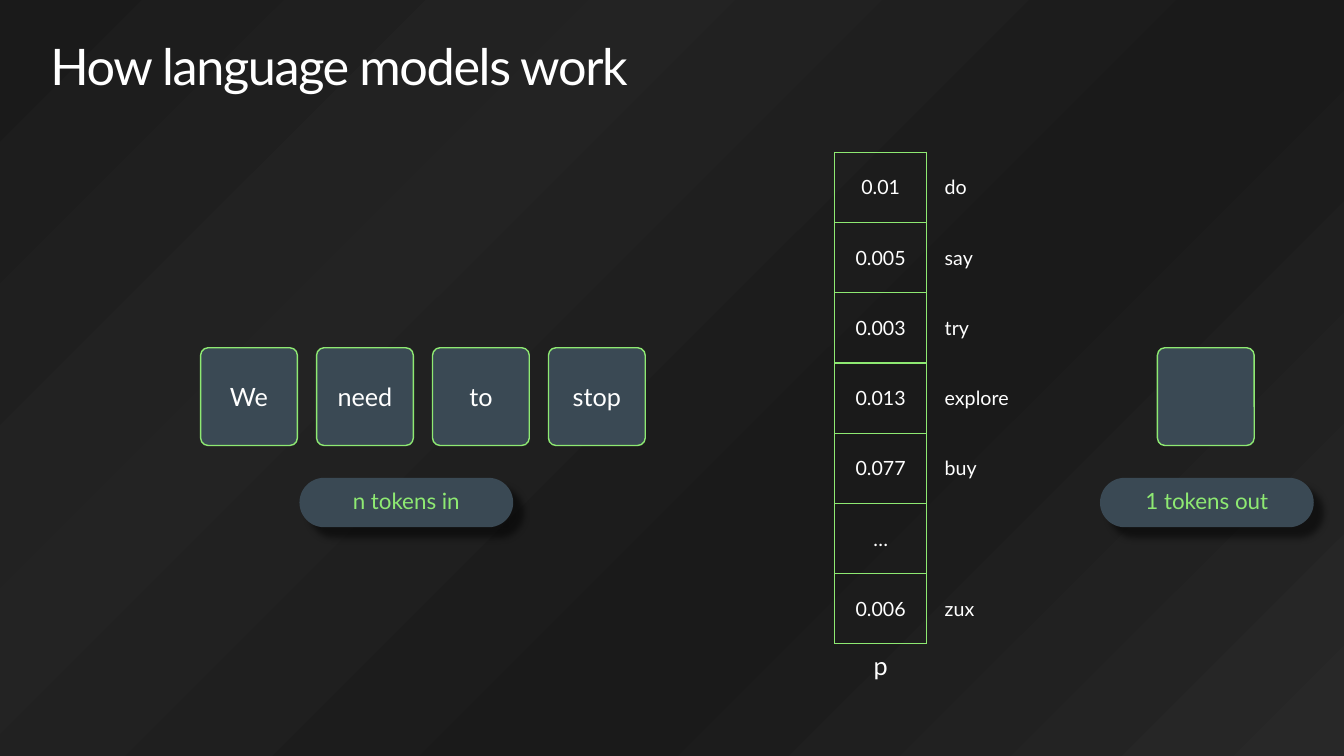
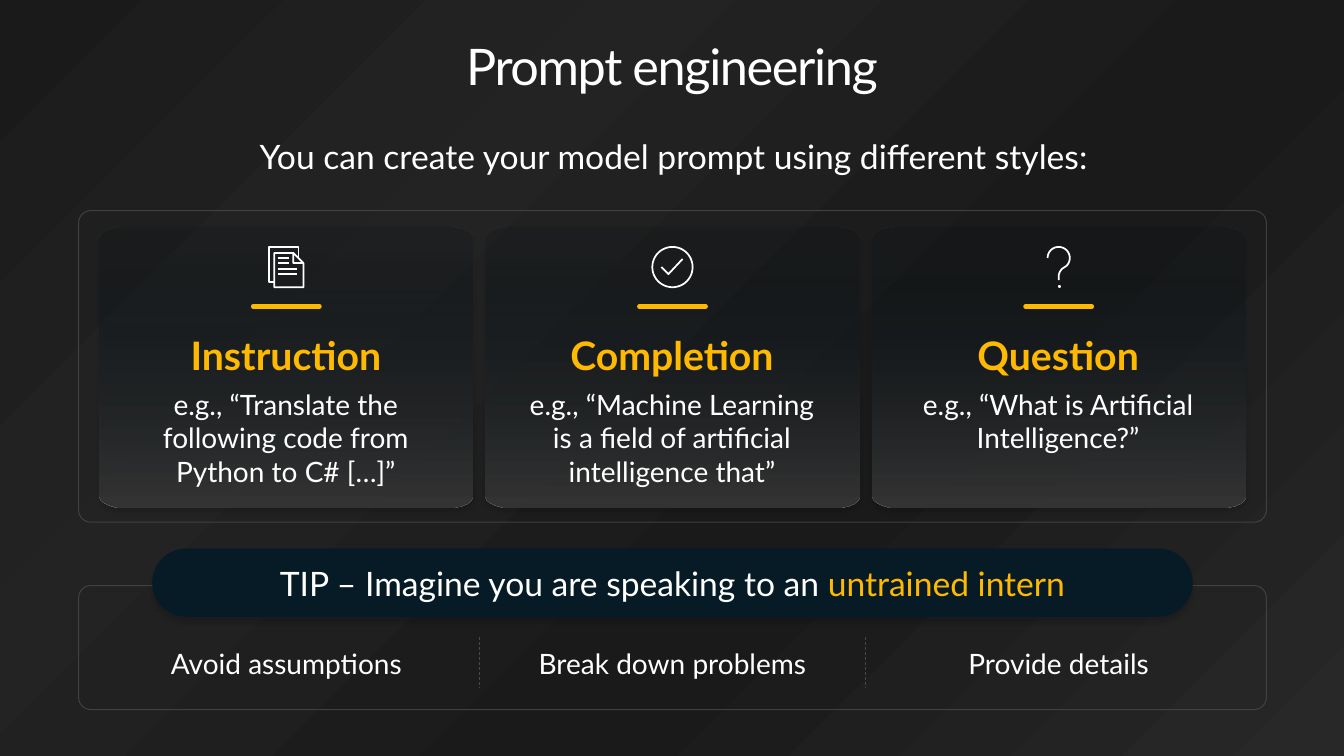
from math import cos, radians, sin

from lxml import etree
from pptx import Presentation
from pptx.dml.color import RGBColor
from pptx.enum.dml import MSO_LINE
from pptx.enum.shapes import MSO_CONNECTOR, MSO_SHAPE
from pptx.enum.text import MSO_ANCHOR, PP_ALIGN
from pptx.oxml.ns import qn
from pptx.util import Inches, Pt

LEFT, CENTER = PP_ALIGN.LEFT, PP_ALIGN.CENTER
TOP, MIDDLE = MSO_ANCHOR.TOP, MSO_ANCHOR.MIDDLE
ROUNDED = MSO_SHAPE.ROUNDED_RECTANGLE
STRAIGHT = MSO_CONNECTOR.STRAIGHT
DASH = MSO_LINE.DASH


class Theme:
    font = "Lato"
    white, green, slate = "FFFFFF", "8EE972", "3A4954"
    amber, navy, grey = "FFB900", "071B27", "494949"
    title, heading, lead, body, token, pill, cell = 36, 28, 24, 20, 18, 16, 14
    # Gradient stops: position, colour, opacity (all in percent)
    backdrop = [(0, "1A1A1A", 100), (27, "222222", 100), (28, "232323", 100),
                (63, "1A1A1A", 100), (100, "282828", 100)]
    card = [(0, "040F16", 10), (100, "353535", 100)]
    # Shadows: opacity percent, blur pt, distance pt, angle
    deep_shadow = (50, 5, 10, 45)
    soft_shadow = (15, 3, 3, 90)


TOKENS = ["We", "need", "to", "stop"]
PROBABILITIES = [("0.01", "do"), ("0.005", "say"), ("0.003", "try"),
                 ("0.013", "explore"), ("0.077", "buy"), ("…", ""),
                 ("0.006", "zux")]
STYLES = [
    ("Instruction", "e.g., “Translate the following code from Python to C# […]”"),
    ("Completion", "e.g., “Machine Learning is a field of artificial intelligence that”"),
    ("Question", "e.g., “What is Artificial Intelligence?”"),
]
TIP = ("TIP – Imagine you are speaking to an ", "untrained intern")
HINTS = ["Avoid assumptions", "Break down problems", "Provide details"]


def arc(cx, cy, rx, ry, start, end, steps=12):
    """Points on an ellipse, with angles running clockwise from the right."""
    angles = [radians(start + (end - start) * i / steps) for i in range(steps + 1)]
    return [(cx + rx * cos(t), cy + ry * sin(t)) for t in angles]


# Icon strokes in inches, relative to the top centre of the icon
ICONS = [
    [[(-.12, .35), (-.17, .35), (-.17, 0), (.12, 0), (.12, .11)],
     [(.07, .06), (.07, .16), (.17, .16), (.07, .06), (-.12, .06),
      (-.12, .4), (.17, .4), (.17, .16)]]
    + [[(-.08, y), (x, y)] for x, y in [(.11, .27), (.11, .22), (.03, .16), (.03, .11)]],
    [arc(0, .2, .2, .2, 0, 360, 48), [(-.11, .2), (-.04, .27), (.1, .12)]],
    [arc(0, .11, .11, .11, 180, 405, 30) + [(.03, .22), (.01, .25), (0, .28), (0, .33)],
     [(0, .39), (.01, .39), (.01, .4), (0, .4), (0, .39)]],
]


def sub(parent, tag, **attrs):
    el = etree.SubElement(parent, qn(tag))
    for name, value in attrs.items():
        el.set(name, str(value))
    return el


def add_color(parent, color, opacity):
    clr = sub(parent, "a:srgbClr", val=color)
    if opacity < 100:
        sub(clr, "a:alpha", val=opacity * 1000)


def set_gradient(element, fill, stops, angle):
    """Give the element a gradient of any number of stops as its fill."""
    fill.solid()
    solid = next(element.iter(qn("a:solidFill")))
    grad = etree.Element(qn("a:gradFill"), rotWithShape="1")
    stop_list = sub(grad, "a:gsLst")
    for pos, color, opacity in stops:
        add_color(sub(stop_list, "a:gs", pos=pos * 1000), color, opacity)
    sub(grad, "a:lin", ang=angle * 60000, scaled=0)
    solid.getparent().replace(solid, grad)


def set_shadow(sp, shadow=None):
    sp.shadow.inherit = False
    if shadow:
        opacity, blur, dist, angle = shadow
        effects = sp._element.spPr.find(qn("a:effectLst"))
        outer = sub(effects, "a:outerShdw", blurRad=Pt(blur), dist=Pt(dist),
                    dir=angle * 60000, algn="tl", rotWithShape=0)
        add_color(outer, "000000", opacity)


def set_line(line, color, width):
    line.color.rgb = RGBColor.from_string(color)
    line.width = Pt(width)


def style_run(r, size, color, bold=False):
    r.font.name = Theme.font
    r.font.size = Pt(size)
    r.font.bold = bold
    r.font.color.rgb = RGBColor.from_string(color)


def write(p, text, size, color=Theme.white, align=CENTER, bold=False):
    p.text = text
    p.alignment = align
    for r in p.runs:
        style_run(r, size, color, bold)


def set_frame(tf, anchor=MIDDLE, pad_x=.1, pad_y=.05):
    tf.word_wrap = True
    tf.vertical_anchor = anchor
    tf.margin_left = tf.margin_right = Inches(pad_x)
    tf.margin_top = tf.margin_bottom = Inches(pad_y)
    return tf.paragraphs[0]


def add_text(slide, box, text, size, anchor=TOP, pad_x=0, pad_y=0, **look):
    tf = slide.shapes.add_textbox(*map(Inches, box)).text_frame
    p = set_frame(tf, anchor, pad_x, pad_y)
    write(p, text, size, **look)
    return tf


def add_rounded(slide, box, radius, fill=None, shadow=None):
    sp = slide.shapes.add_shape(ROUNDED, *map(Inches, box))
    sp.adjustments[0] = radius / min(box[2:])
    set_shadow(sp, shadow)
    if fill:
        sp.fill.solid()
        sp.fill.fore_color.rgb = RGBColor.from_string(fill)
    else:
        sp.fill.background()
    sp.line.fill.background()
    return sp


def add_line(slide, x1, y1, x2, y2, color, width):
    ln = slide.shapes.add_connector(STRAIGHT, *map(Inches, (x1, y1, x2, y2)))
    set_line(ln.line, color, width)
    sub(ln._element.spPr, "a:effectLst")
    return ln


def add_path(slide, strokes, dx=0, dy=0):
    """Draw open or closed polylines as one freeform without a shadow."""
    paths = [[(Inches(x + dx), Inches(y + dy)) for x, y in s] for s in strokes]
    builder = slide.shapes.build_freeform(*paths[0][0], scale=1.0)
    for i, points in enumerate(paths):
        if i:
            builder.move_to(*points[0])
        builder.add_line_segments(points[1:], close=points[0] == points[-1])
    sp = builder.convert_to_shape()
    set_shadow(sp)
    return sp


def add_title(slide, text, align):
    tf = add_text(slide, (.5, .32, 12.33, .98), text, Theme.title, pad_y=.1, align=align)
    p = tf.paragraphs[0]
    p.line_spacing = .9
    p.runs[0].font._element.set("spc", "-100")


def add_panel(slide, top, height):
    sp = add_rounded(slide, (.78, top, 11.78, height), .12)
    set_line(sp.line, Theme.grey, .75)
    sub(next(sp._element.spPr.iter(qn("a:srgbClr"))), "a:alpha", val=80000)


def add_token(slide, x, text=""):
    sp = add_rounded(slide, (x, 3.45, .96, .97), .075, Theme.slate)
    set_line(sp.line, Theme.green, 1)
    write(set_frame(sp.text_frame), text, Theme.token)


def add_pill(slide, x, text):
    sp = add_rounded(slide, (x, 4.74, 2.12, .49), .245, Theme.slate, Theme.deep_shadow)
    p = set_frame(sp.text_frame, pad_x=.12, pad_y=0)
    write(p, text, Theme.pill, Theme.green)
    p.line_spacing = .9


def add_column(slide, x, values, align, border=None):
    """Add a one-column table, with ruled cells when a border colour is given."""
    box = map(Inches, (x, 1.51, .91, 4.88))
    table = slide.shapes.add_table(len(values), 1, *box).table
    table.first_row = table.horz_banding = False
    for row, value in enumerate(values):
        cell = table.cell(row, 0)
        cell.vertical_anchor = MIDDLE
        write(cell.text_frame.paragraphs[0], value, Theme.cell, align=align)
        props = cell._tc.get_or_add_tcPr()
        for side in ("a:lnL", "a:lnR", "a:lnT", "a:lnB"):
            edge = sub(props, side, w=Pt(1))
            if border:
                add_color(sub(edge, "a:solidFill"), border, 100)
            else:
                sub(edge, "a:noFill")
        cell.fill.background()


def add_card(slide, x, y, w, h, name, example, icon):
    rx, ry = .24, .12
    corners = [(x + w - rx, y + ry, 270), (x + w - rx, y + h - ry, 0),
               (x + rx, y + h - ry, 90), (x + rx, y + ry, 180)]
    outline = [pt for cx, cy, a in corners for pt in arc(cx, cy, rx, ry, a, a + 90)]
    card = add_path(slide, [outline + outline[:1]])
    set_gradient(card._element, card.fill, Theme.card, 90)
    card.line.fill.background()
    set_shadow(card, Theme.soft_shadow)

    mid = x + w / 2
    sp = add_path(slide, icon, mid, y + .2)
    sp.fill.background()
    set_line(sp.line, Theme.white, 1.25)
    bar = add_line(slide, mid - .33, 3.04, mid + .33, 3.04, Theme.amber, 3)
    bar._element.spPr.find(qn("a:ln")).set("cap", "rnd")

    tf = add_text(slide, (x + .33, 3.29, 3.03, 1.57), name, Theme.heading,
                  color=Theme.amber, bold=True)
    write(tf.add_paragraph(), example, Theme.body)
    for p in tf.paragraphs:
        p.space_after = Pt(6)


def build_models_slide(slide):
    for i, token in enumerate(TOKENS):
        add_token(slide, 1.99 + 1.15 * i, token)
    add_token(slide, 11.48)
    values, words = zip(*PROBABILITIES)
    add_column(slide, 8.28, values, CENTER, Theme.green)
    add_column(slide, 9.27, words, LEFT)
    add_pill(slide, 2.97, "n tokens in")
    add_pill(slide, 10.91, "1 tokens out")
    add_text(slide, (8.28, 6.4, .91, .4), "p", Theme.token, pad_y=.05)
    add_title(slide, "How language models work", LEFT)


def build_prompt_slide(slide):
    add_title(slide, "Prompt engineering", CENTER)
    add_text(slide, (.77, 1.35, 11.82, .4),
             "You can create your model prompt using different styles:", Theme.lead)
    add_panel(slide, 5.81, 1.23)
    add_panel(slide, 2.09, 3.09)

    left, width, pitch = .99, 3.7, 3.83
    for i, ((name, example), icon, hint) in enumerate(zip(STYLES, ICONS, HINTS)):
        x = left + pitch * i
        add_card(slide, x, 2.25, width, 2.78, name, example, icon)
        add_text(slide, (x, 6.28, width, .6), hint, Theme.body, MIDDLE, .2, .16)
        if i:
            gap = x - (pitch - width) / 2
            add_line(slide, gap, 6.32, gap, 6.83, Theme.grey, .5).line.dash_style = DASH

    tip = add_rounded(slide, (1.51, 5.44, 10.32, .68), .34, Theme.navy, Theme.soft_shadow)
    p = set_frame(tip.text_frame)
    write(p, TIP[0], Theme.lead)
    r = p.add_run()
    r.text = TIP[1]
    style_run(r, Theme.lead, Theme.amber)


def main():
    prs = Presentation()
    prs.slide_width, prs.slide_height = Inches(13.33), Inches(7.5)
    master = prs.slide_master
    set_gradient(master.element, master.background.fill, Theme.backdrop, 45)
    for build in (build_models_slide, build_prompt_slide):
        build(prs.slides.add_slide(prs.slide_layouts[6]))
    prs.save("out.pptx")


if __name__ == "__main__":
    main()
